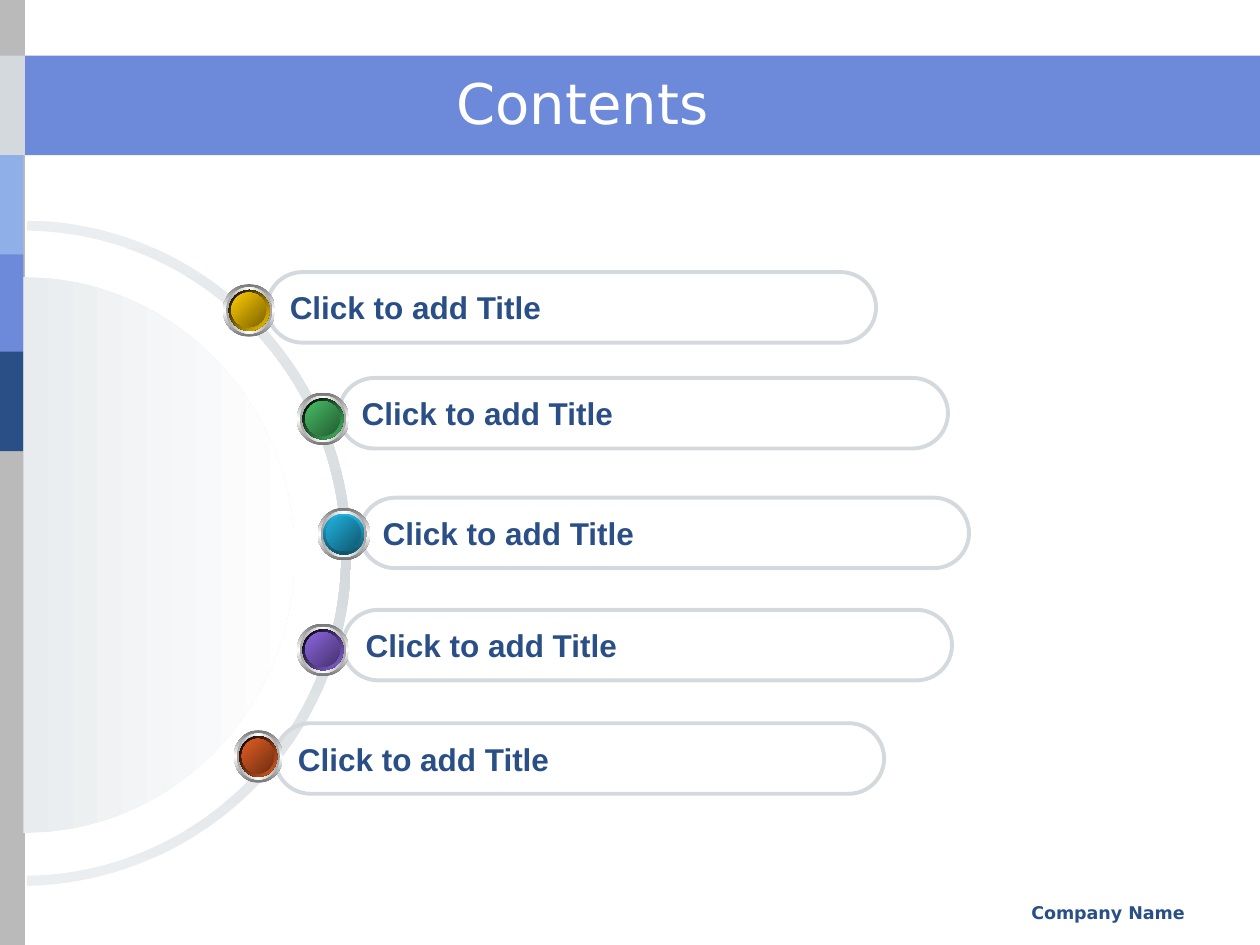
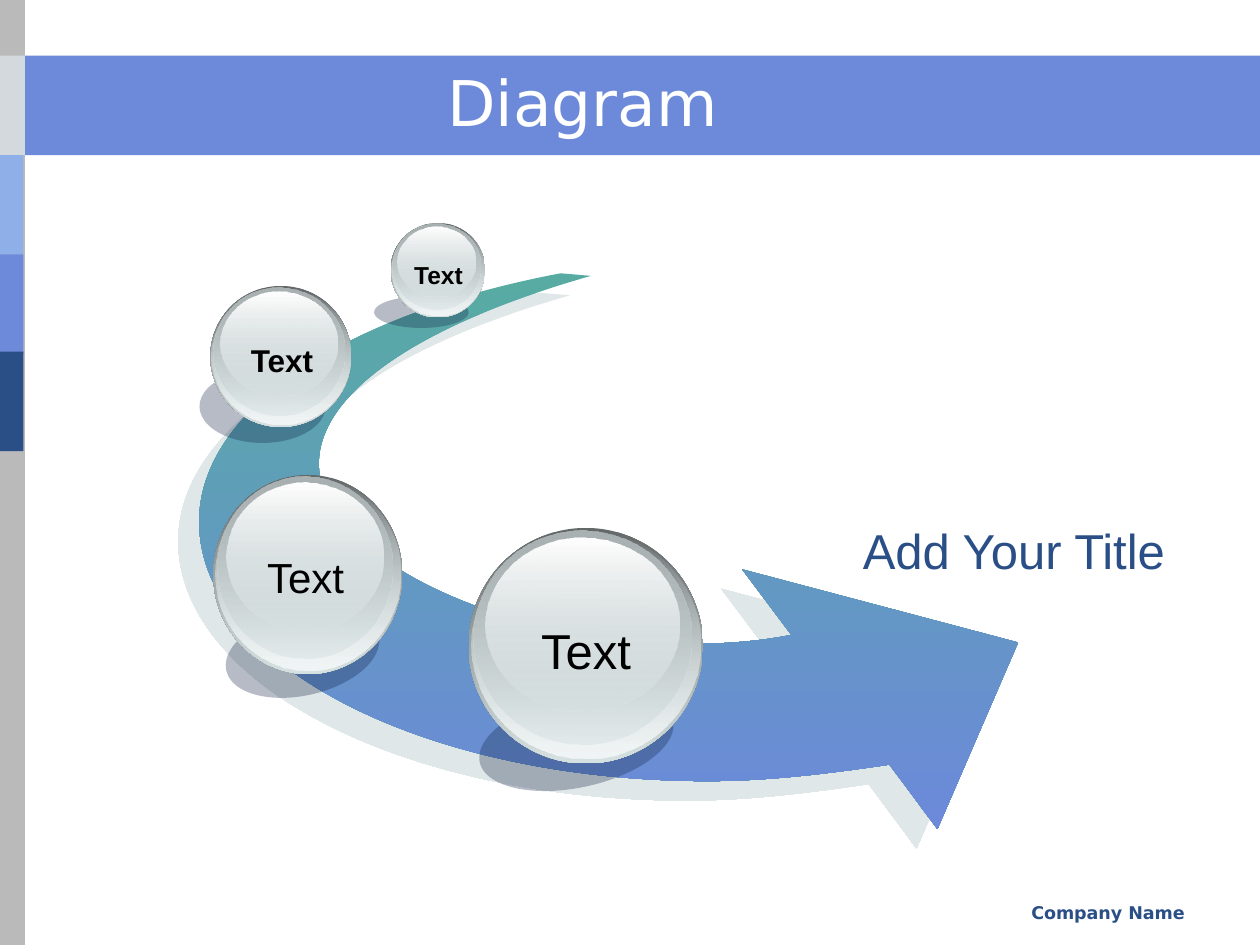
from dataclasses import dataclass

from pptx import Presentation
from pptx.dml.color import RGBColor
from pptx.enum.shapes import MSO_SHAPE
from pptx.enum.text import MSO_ANCHOR, PP_ALIGN
from pptx.oxml import parse_xml
from pptx.oxml.ns import nsdecls, qn
from pptx.util import Pt

RECTANGLE, PILL, OVAL = MSO_SHAPE.RECTANGLE, MSO_SHAPE.ROUNDED_RECTANGLE, MSO_SHAPE.OVAL
LEFT, CENTER, RIGHT = PP_ALIGN.LEFT, PP_ALIGN.CENTER, PP_ALIGN.RIGHT
TOP, MIDDLE = MSO_ANCHOR.TOP, MSO_ANCHOR.MIDDLE


@dataclass(frozen=True)
class Theme:
    white: str = "FFFFFF"
    black: str = "000000"
    blue: str = "6C89DA"
    light_blue: str = "8FAFE9"
    navy: str = "2A4F86"
    teal: str = "57ABA3"
    gray: str = "BABABA"
    silver: str = "D3D9DD"
    pale_silver: str = "EBEEF0"
    disk_edge: str = "E9ECEE"
    bezel_dark: str = "767676"
    bezel_light: str = "A2A2A2"
    glass: str = "D6E1E2"
    glass_dark: str = "636869"
    glass_mid: str = "AAB2B3"
    glass_light: str = "F1F5F5"
    ball_shadow: str = "0F2145"
    arrow_shadow: str = "C1D1D3"
    heading_font: str = "DejaVu Sans"
    body_font: str = "Arial"
    footer_size: int = 10
    item_size: int = 18
    caption_size: int = 28


THEME = Theme()


def paint(shape, *stops, angle=0):
    """Fill evenly spaced stops, each a colour or (colour, opacity percent); one stop is solid."""
    colors = []
    for stop in stops:
        color, opacity = (stop, 100) if isinstance(stop, str) else stop
        colors.append(f'<a:srgbClr val="{color}"><a:alpha val="{opacity * 1000}"/></a:srgbClr>')
    if len(colors) == 1:
        xml = f'<a:solidFill {nsdecls("a")}>{colors[0]}</a:solidFill>'
    else:
        step = 100000 // (len(colors) - 1)
        marks = "".join(f'<a:gs pos="{i * step}">{color}</a:gs>' for i, color in enumerate(colors))
        xml = (f'<a:gradFill {nsdecls("a")} rotWithShape="1"><a:gsLst>{marks}</a:gsLst>'
               f'<a:lin ang="{angle * 60000}" scaled="0"/></a:gradFill>')
    shape.fill.background()
    properties = shape.element.spPr
    properties.replace(properties.find(qn("a:noFill")), parse_xml(xml))
    shape.line.fill.background()
    shape.shadow.inherit = False


def write(shape, text, size, color, font=THEME.body_font, bold=False,
          align=LEFT, anchor=TOP, wrap=True):
    frame = shape.text_frame
    frame.word_wrap = wrap
    frame.vertical_anchor = anchor
    paragraph = frame.paragraphs[0]
    paragraph.alignment = align
    run = paragraph.add_run()
    run.text = text
    run.font.size = Pt(size)
    run.font.name = font
    run.font.bold = bold
    run.font.color.rgb = RGBColor.from_string(color)


presentation = Presentation()
presentation.slide_width, presentation.slide_height = Pt(720), Pt(540)
blank = presentation.slide_layouts[6]

# Shared frame: banner, side strip, footer and title
bands = [
    ((0, 31.8, 720, 56.9), THEME.blue),
    ((-0.7, 0, 14.9, 540), THEME.gray),
    ((0, 31.8, 14.2, 56.9), THEME.silver),
    ((-1.4, 88.6, 14.7, 56.9), THEME.light_blue),
    ((-1.4, 145.4, 14.7, 56.9), THEME.blue),
    ((-1.4, 200.9, 14.7, 56.9), THEME.navy),
]
for title, title_size in [("Contents", 32), ("Diagram", 36)]:
    slide = presentation.slides.add_slide(blank)
    for box, color in bands:
        paint(slide.shapes.add_shape(RECTANGLE, *map(Pt, box)), color)
    footer = slide.shapes.add_textbox(Pt(455.8), Pt(511.9), Pt(228.2), Pt(18))
    write(footer, "Company Name", THEME.footer_size, THEME.navy, THEME.heading_font,
          bold=True, align=RIGHT)
    heading = slide.shapes.add_textbox(Pt(42), Pt(35.8), Pt(581.8), Pt(44.6))
    write(heading, title, title_size, THEME.white, THEME.heading_font,
          align=CENTER, anchor=MIDDLE)
contents, diagram = presentation.slides

# Curved outlines: a segment of one point is a line, of three points a cubic curve
ring = [
    [(15.6, 131.8)],
    [(115.2, 133.2), (195.1, 215.3), (195.1, 316.1)],
    [(195.1, 416.9), (115.2, 499), (15.6, 500.4)],
    [(15.6, 506.2)],
    [(118.1, 504), (200.7, 419.8), (200.7, 316.1)],
    [(200.7, 212.4), (118.1, 127.4), (15.6, 126)],
]
half_disk = [
    [(13.4, 158.4)],
    [(98.6, 158.4), (168.3, 229.7), (168.3, 316.8)],
    [(168.3, 404.6), (98.6, 475.9), (13.4, 475.9)],
]
arrow = [
    [(320.4, 156.2)],
    [(194.4, 180), (113.8, 235.4), (113.8, 298.1)],
    [(113.8, 380.2), (243.4, 446.4), (404.6, 446.4)],
    [(439.2, 446.4), (473.8, 442.1), (508.3, 437)],
    [(535.7, 473.8)], [(581.8, 367.2)], [(424.1, 325.4)], [(452.2, 362.9)],
    [(433.4, 366.5), (415.4, 367.9), (396.7, 367.9)],
    [(284.4, 367.9), (182.2, 316.8), (182.2, 265)],
    [(182.2, 226.8), (234, 187.2), (337.7, 157.7)],
]
for slide, outline, stops, angle in [
    (contents, ring, (THEME.pale_silver, THEME.silver, THEME.pale_silver), 90),
    (contents, half_disk, (THEME.disk_edge, THEME.white), 0),
    (diagram, arrow, (THEME.teal, THEME.blue), 90),
]:
    points = [(Pt(x), Pt(y)) for segment in outline for x, y in segment]
    builder = slide.shapes.build_freeform(*points[0])
    builder.add_line_segments(points[1:], close=True)
    curved_shape = builder.convert_to_shape()
    # Merge the three lines of each cubic segment into one curve
    lines = iter(list(curved_shape.element.iter(qn("a:lnTo"))))
    for segment in outline[1:]:
        first, *others = [next(lines) for _ in segment]
        if others:
            curve = parse_xml(f'<a:cubicBezTo {nsdecls("a")}/>')
            first.addprevious(curve)
            for line in (first, *others):
                curve.append(line[0])
                line.getparent().remove(line)
    paint(curved_shape, *stops, angle=angle)

# The arrow, drawn last, casts a shadow
curved_shape.element.spPr.find(qn("a:effectLst")).append(parse_xml(
    f'<a:outerShdw {nsdecls("a")} dist="{Pt(16.3)}" dir="{137 * 60000}" algn="ctr" '
    f'rotWithShape="0"><a:srgbClr val="{THEME.arrow_shadow}"><a:alpha val="50000"/>'
    '</a:srgbClr></a:outerShdw>'))

# Contents: five pills, each with a coloured button: pill, button, width, colour, shade, rim
items = [
    ((152.6, 155.5), (127.4, 162.4), 30, "FFCC00", "7C6300", None),
    ((193.7, 216), (169.6, 224.4), 30, "48BE67", "235C32", None),
    ((205.7, 284.4), (181.5, 290.2), 30, "21B3E1", "10576D", "0F5368"),
    ((196, 348.5), (169.6, 356.4), 30, "8D67E1", "45326D", None),
    ((157.2, 413.3), (133.7, 417.3), 27.9, "E35E23", "6E2E11", None),
]
BUTTON_HEIGHT = 30
for pill_corner, (left, top), width, color, shade, rim in items:
    pill = contents.shapes.add_shape(PILL, *map(Pt, pill_corner), Pt(348), Pt(40.3))
    pill.adjustments[0] = 0.5
    pill.fill.background()
    pill.line.color.rgb = RGBColor.from_string(THEME.silver)
    pill.line.width = Pt(2.25)
    pill.shadow.inherit = False
    write(pill, "Click to add Title", THEME.item_size, THEME.navy, bold=True, anchor=MIDDLE)

    button = contents.shapes.add_group_shape()
    rim_stops, rim_angle = ((color, rim), 90) if rim else ((THEME.black, color), 45)
    for inset, scale, stops, angle in [
        (0, 1, (THEME.bezel_dark, THEME.white, THEME.bezel_dark), 90),
        (0.06, 0.88, (THEME.bezel_light, THEME.white, THEME.bezel_light), 0),
        (0.11, 0.78, rim_stops, rim_angle),
        (0.16, 0.66, (color, shade), 45),
    ]:
        layer = button.shapes.add_shape(
            OVAL, Pt(left + inset * width), Pt(top + inset * BUTTON_HEIGHT),
            Pt(scale * width), Pt(scale * BUTTON_HEIGHT))
        paint(layer, *stops, angle=angle)

# Diagram: caption and four glass balls
caption = diagram.shapes.add_textbox(Pt(486), Pt(293.8), Pt(210.2), Pt(41))
write(caption, "Add Your Title", THEME.caption_size, THEME.navy)

glass_layers = [  # left, top, width and height as shares of the ball
    (0, 0, 1, 1, THEME.glass_dark, THEME.glass),
    (0.01, 0.01, 0.98, 0.97, (THEME.glass, 0), THEME.glass_light),
    (0.02, 0.01, 0.93, 0.91, THEME.glass_mid, (THEME.glass, 48)),
    (0.07, 0.04, 0.83, 0.74, THEME.white, (THEME.glass, 38)),
]
balls = [  # ball, shadow, shadow rotation, label box, label size, bold
    ((267.8, 301.7, 133.9, 134.6), (272.9, 397.4, 113, 52.6), -12.1,
     (300.7, 351, 68.4, 41), 28, False),
    ((121.9, 271.4, 108, 113.8), (128.2, 349.2, 89.3, 48.2), -12.9,
     (144, 311.4, 61.2, 36), 24, False),
    ((120.2, 163.4, 80.6, 80.6), (114, 211.3, 72, 41.8), 0,
     (135.6, 191.2, 51.1, 28.8), 18, True),
    ((223.2, 127.4, 54, 54), (213.8, 169.4, 54, 18), 0,
     (229, 145, 43.2, 24.5), 14, True),
]
for (left, top, width, height), shadow_box, rotation, label_box, size, bold in balls:
    shadow = diagram.shapes.add_shape(OVAL, *map(Pt, shadow_box))
    shadow.rotation = rotation
    paint(shadow, (THEME.ball_shadow, 30))
    for x, y, across, down, upper, lower in glass_layers:
        layer = diagram.shapes.add_shape(OVAL, Pt(left + x * width), Pt(top + y * height),
                                         Pt(across * width), Pt(down * height))
        paint(layer, upper, lower, angle=90)
    label = diagram.shapes.add_textbox(*map(Pt, label_box))
    write(label, "Text", size, THEME.black, bold=bold, align=CENTER, wrap=False)

presentation.save("out.pptx")
